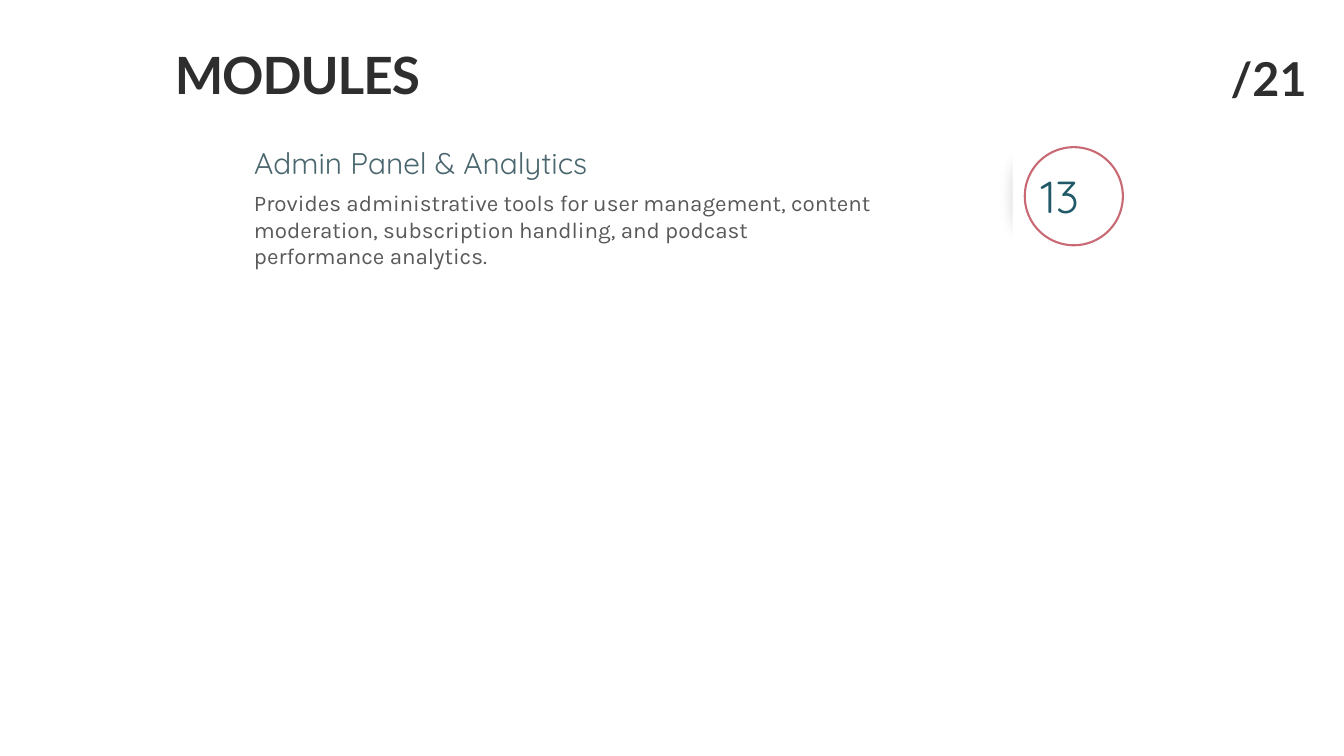
"""Build the MODULES slide with one numbered module entry."""
from dataclasses import dataclass, field
from typing import Any

from lxml.etree import SubElement
from pptx import Presentation
from pptx.dml.color import RGBColor
from pptx.enum.shapes import MSO_SHAPE as Shape
from pptx.enum.text import MSO_ANCHOR as Anchor, PP_ALIGN as Align
from pptx.oxml.ns import qn
from pptx.util import Pt

COLORS = {
    "ink": "2E2E2E",
    "heading": "4A666E",
    "body": "595959",
    "number": "215968",
    "ring": "C86974",
    "shade": "0D0D0D",
    "paper": "FFFFFF",
}


@dataclass
class Label:
    text: str
    frame: tuple[float, float, float, float]
    font: str
    size: float
    color: str
    leading: float | None = None
    align: Align = Align.LEFT
    bold: bool = False
    tracking: int = 0
    margins: dict[str, float] = field(default_factory=dict)
    anchor: Anchor = Anchor.TOP


@dataclass
class Panel:
    kind: Shape
    frame: tuple[float, float, float, float]
    fill: str | None = None
    line: str | None = None


TITLE = Label("MODULES", (164.16, 64.8, 308.88, 48.24), "Lato", 55, "ink",
              47.6, Align.CENTER, True, -110)
LABELS = [
    Label("/21", (1294.56, 43.2, 129.6, 64.08), "Lato", 50, "ink", 70, Align.CENTER, True),
    Label("Provides administrative tools for user management, content moderation, "
          "subscription handling, and podcast performance analytics.",
          (272.16, 202.32, 665.28, 87.12), "Karla", 24, "body", 28.8),
    Label("Admin Panel & Analytics", (272.16, 164.88, 447.84, 28.08),
          "Quicksand", 32, "heading", 28),
]
SHADE = Panel(Shape.RECTANGLE, (1056.24, 138.96, 105.12, 141.84), "shade")
CARD = Panel(Shape.RECTANGLE, (1085.04, 138.24, 807.84, 141.84), "paper")
RING = Panel(Shape.OVAL, (1098, 157.68, 105.12, 105.12), line="ring")
NUMBER = Label("13", CARD.frame, "Quicksand", 48, "number",
               margins={"margin_left": 30}, anchor=Anchor.MIDDLE)


def rgb(name: str) -> RGBColor:
    return RGBColor.from_string(COLORS[name])


def set_all(target: Any, values: dict[str, Any]) -> None:
    for name, value in values.items():
        setattr(target, name, value)


def place(box: Any, frame: tuple[float, float, float, float]) -> None:
    set_all(box, dict(zip(("left", "top", "width", "height"), map(Pt, frame))))


def write(box: Any, label: Label) -> None:
    frame = box.text_frame
    sides = ("left", "top", "right", "bottom")
    margins = {f"margin_{side}": 0 for side in sides} | label.margins
    set_all(frame, {name: Pt(value) for name, value in margins.items()})
    set_all(frame, {"word_wrap": True, "vertical_anchor": label.anchor})
    para = frame.paragraphs[0]
    para.alignment = label.align
    if label.leading:
        para.line_spacing = Pt(label.leading)
    span = para.add_run()
    span.text = label.text
    set_all(span.font, {"name": label.font, "size": Pt(label.size), "bold": label.bold})
    span.font.color.rgb = rgb(label.color)
    if label.tracking:
        span._r.get_or_add_rPr().set("spc", str(label.tracking))


def add_label(page: Any, label: Label) -> None:
    write(page.shapes.add_textbox(*map(Pt, label.frame)), label)


def add_panel(page: Any, panel: Panel) -> Any:
    box = page.shapes.add_shape(panel.kind, *map(Pt, panel.frame))
    box.shadow.inherit = False
    if panel.fill:
        box.fill.solid()
        box.fill.fore_color.rgb = rgb(panel.fill)
    else:
        box.fill.background()
    if panel.line:
        box.line.color.rgb = rgb(panel.line)
        box.line.width = Pt(2.25)
    else:
        box.line.fill.background()
    return box


def soften(box: Any, opacity: int, radius: float) -> None:
    props = box._element.spPr
    color = props.find(qn("a:solidFill"))[0]
    SubElement(color, qn("a:alpha")).set("val", str(opacity * 1000))
    effects = props.find(qn("a:effectLst"))
    SubElement(effects, qn("a:softEdge")).set("rad", str(Pt(radius)))


def main() -> None:
    deck = Presentation()
    set_all(deck, {"slide_width": Pt(1440), "slide_height": Pt(810)})
    page = deck.slides.add_slide(deck.slide_layouts[5])
    title = page.shapes.title
    place(title, TITLE.frame)
    write(title, TITLE)
    for label in LABELS:
        add_label(page, label)
    soften(add_panel(page, SHADE), opacity=30, radius=25)
    write(add_panel(page, CARD), NUMBER)
    add_panel(page, RING)
    deck.save("out.pptx")


if __name__ == "__main__":
    main()
